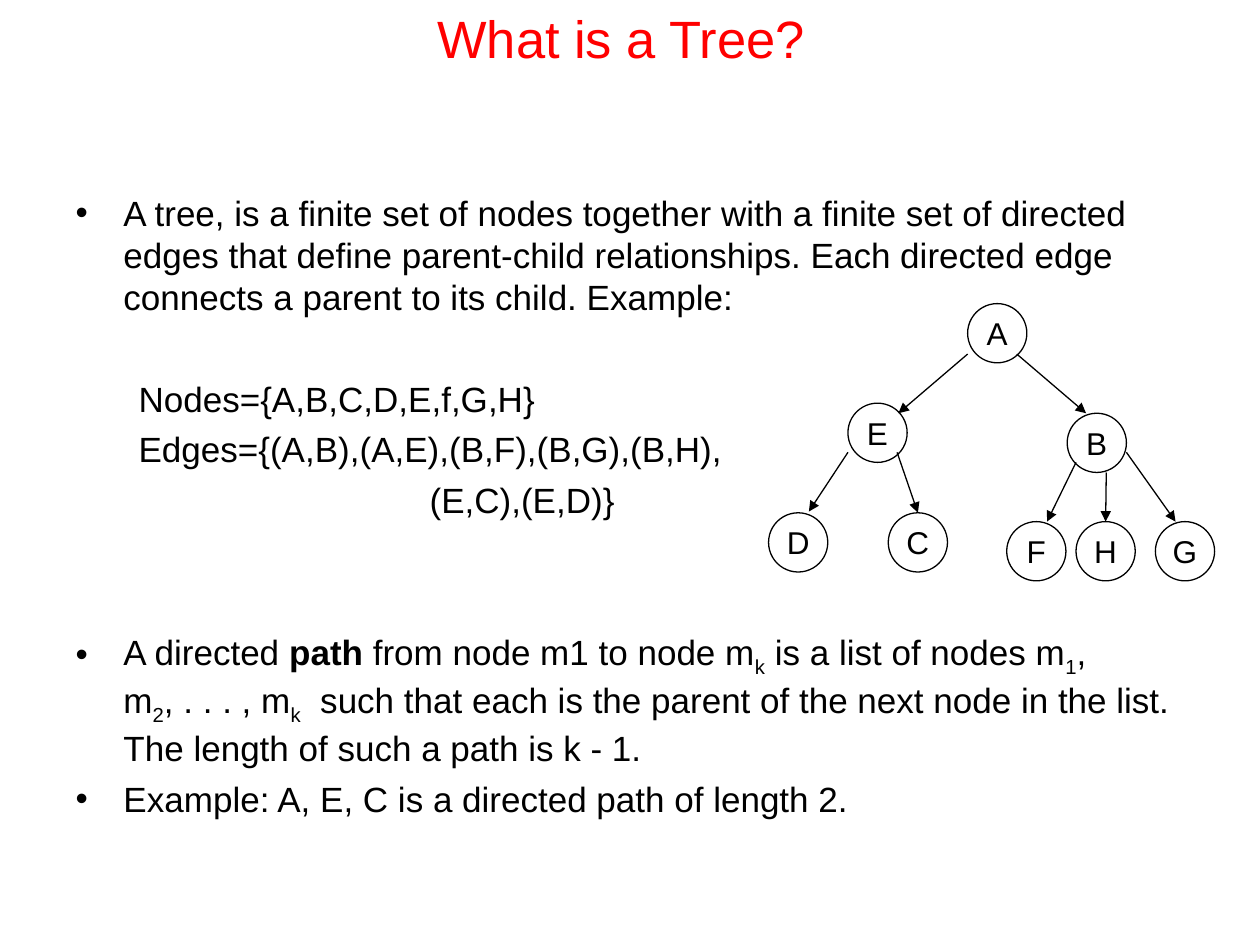
from dataclasses import dataclass
from typing import Optional

import pptx
import pptx.dml.color
import pptx.enum.shapes
import pptx.enum.text
import pptx.oxml.ns
import pptx.util
from lxml import etree

Inches = pptx.util.Inches
Pt = pptx.util.Pt
qn = pptx.oxml.ns.qn
RGB = pptx.dml.color.RGBColor


@dataclass(frozen=True)
class Theme:
    font: str = "Arial"
    title_color: RGB = RGB(0xFF, 0x00, 0x00)
    ink: RGB = RGB(0x00, 0x00, 0x00)
    title_size: int = 30
    body_size: int = 20
    node_size: int = 18
    line_width: float = 0.75
    node_diameter: float = 0.47


@dataclass(frozen=True)
class Run:
    text: str
    bold: bool = False
    subscript: bool = False


@dataclass(frozen=True)
class Para:
    runs: tuple[Run, ...]
    margin: float = 0.38
    indent: float = -0.38
    before: float = 5
    bullet: bool = True


@dataclass(frozen=True)
class Node:
    name: str
    left: float
    top: float


@dataclass(frozen=True)
class Edge:
    start: tuple[float, float]
    end: tuple[float, float]
    top_of: Optional[str] = None  # child whose top centre the arrow meets


THEME = Theme()

PARAS = (
    Para((Run("A tree, is a finite set of nodes together with a finite set of "
              "directed edges that define parent-child relationships. Each "
              "directed edge connects a parent to its child. Example:"),)),
    Para((Run("Nodes={A,B,C,D,E,f,G,H}"),), 0.81, -0.31, 34, False),
    Para((Run("Edges={(A,B),(A,E),(B,F),(B,G),(B,H),"),), 0.81, -0.31, bullet=False),
    Para((Run("(E,C),(E,D)}"),), 2.81, 0, bullet=False),
    Para((Run("A directed "), Run("path", bold=True),
          Run(" from node m1 to node m"), Run("k", subscript=True),
          Run(" is a list of nodes m"), Run("1", subscript=True),
          Run(", m"), Run("2", subscript=True),
          Run(", . . . , m"), Run("k", subscript=True),
          Run("  such that each is the parent of the next node in the list. "
              "The length of such a path is k - 1.")), before=63),
    Para((Run("Example: A, E, C is a directed path of length 2."),)),
)

NODES = (
    Node("A", 7.68, 2.41),
    Node("B", 8.47, 3.28), Node("E", 6.73, 3.2),
    Node("C", 7.05, 4.07), Node("D", 6.1, 4.07),
    Node("F", 7.99, 4.14), Node("H", 8.54, 4.14), Node("G", 9.17, 4.14),
)

EDGES = (
    Edge((8.07, 2.81), (8.62, 3.28)),
    Edge((7.68, 2.81), (7.13, 3.28)),
    Edge((6.73, 3.59), (6.42, 4.06)),
    Edge((7.12, 3.59), (7.28, 4.07), "C"),
    Edge((8.54, 3.67), (8.31, 4.14)),
    Edge((8.78, 3.75), (8.78, 4.14), "H"),
    Edge((8.94, 3.59), (9.33, 4.14)),
)


def place(sp, left: float, top: float, width: float, height: float) -> None:
    sp.left, sp.top = Inches(left), Inches(top)
    sp.width, sp.height = Inches(width), Inches(height)


def add_run(p, run: Run, size: float, color: RGB) -> None:
    r = p.add_run()
    r.text = run.text
    r.font.name, r.font.size, r.font.bold = THEME.font, Pt(size), run.bold
    r.font.color.rgb = color
    if run.subscript:
        r.font._element.set("baseline", "-25000")


def add_para(p, para: Para) -> None:
    p.space_before = Pt(para.before)
    pPr = p._p.get_or_add_pPr()
    pPr.set("marL", str(Inches(para.margin)))
    pPr.set("indent", str(Inches(para.indent)))
    if para.bullet:
        etree.SubElement(pPr, qn("a:buChar")).set("char", "•")
    else:
        etree.SubElement(pPr, qn("a:buNone"))
    for run in para.runs:
        add_run(p, run, THEME.body_size, THEME.ink)


def add_node(shapes, node: Node):
    sp = shapes.add_shape(
        pptx.enum.shapes.MSO_SHAPE.OVAL, Inches(node.left), Inches(node.top),
        Inches(THEME.node_diameter), Inches(THEME.node_diameter))
    sp.shadow.inherit = False
    sp.fill.background()
    sp.line.color.rgb, sp.line.width = THEME.ink, Pt(THEME.line_width)
    tf = sp.text_frame
    tf.word_wrap = False
    tf.vertical_anchor = pptx.enum.text.MSO_ANCHOR.MIDDLE
    p = tf.paragraphs[0]
    p.alignment = pptx.enum.text.PP_ALIGN.CENTER
    add_run(p, Run(node.name), THEME.node_size, THEME.ink)
    return sp


def add_edge(shapes, edge: Edge, circles: dict) -> None:
    cxn = shapes.add_connector(
        pptx.enum.shapes.MSO_CONNECTOR.STRAIGHT,
        *(Inches(v) for v in edge.start + edge.end))
    if edge.top_of:
        cxn.end_connect(circles[edge.top_of], 0)
    cxn.line.color.rgb, cxn.line.width = THEME.ink, Pt(THEME.line_width)
    etree.SubElement(cxn.line._get_or_add_ln(), qn("a:tailEnd")).set("type", "triangle")
    etree.SubElement(cxn._element.spPr, qn("a:effectLst"))


def main() -> None:
    prs = pptx.Presentation()
    prs.slide_width, prs.slide_height = Inches(10), Inches(7.5)
    s = prs.slides.add_slide(prs.slide_layouts[1])

    # Title
    title = s.shapes.title
    place(title, 0.43, 0, 9, 0.6)
    title.text_frame.auto_size = pptx.enum.text.MSO_AUTO_SIZE.NONE
    p = title.text_frame.paragraphs[0]
    p.alignment = pptx.enum.text.PP_ALIGN.CENTER
    add_run(p, Run("What is a Tree?"), THEME.title_size, THEME.title_color)

    # Definitions
    body = s.placeholders[1]
    place(body, 0.5, 1.47, 9, 5.03)
    tf = body.text_frame
    tf.auto_size = pptx.enum.text.MSO_AUTO_SIZE.NONE
    for i, para in enumerate(PARAS):
        add_para(tf.add_paragraph() if i else tf.paragraphs[0], para)

    # Example tree
    tree = s.shapes.add_group_shape()
    circles = {node.name: add_node(tree.shapes, node) for node in NODES}
    for edge in EDGES:
        add_edge(tree.shapes, edge, circles)

    prs.save("out.pptx")


if __name__ == "__main__":
    main()
